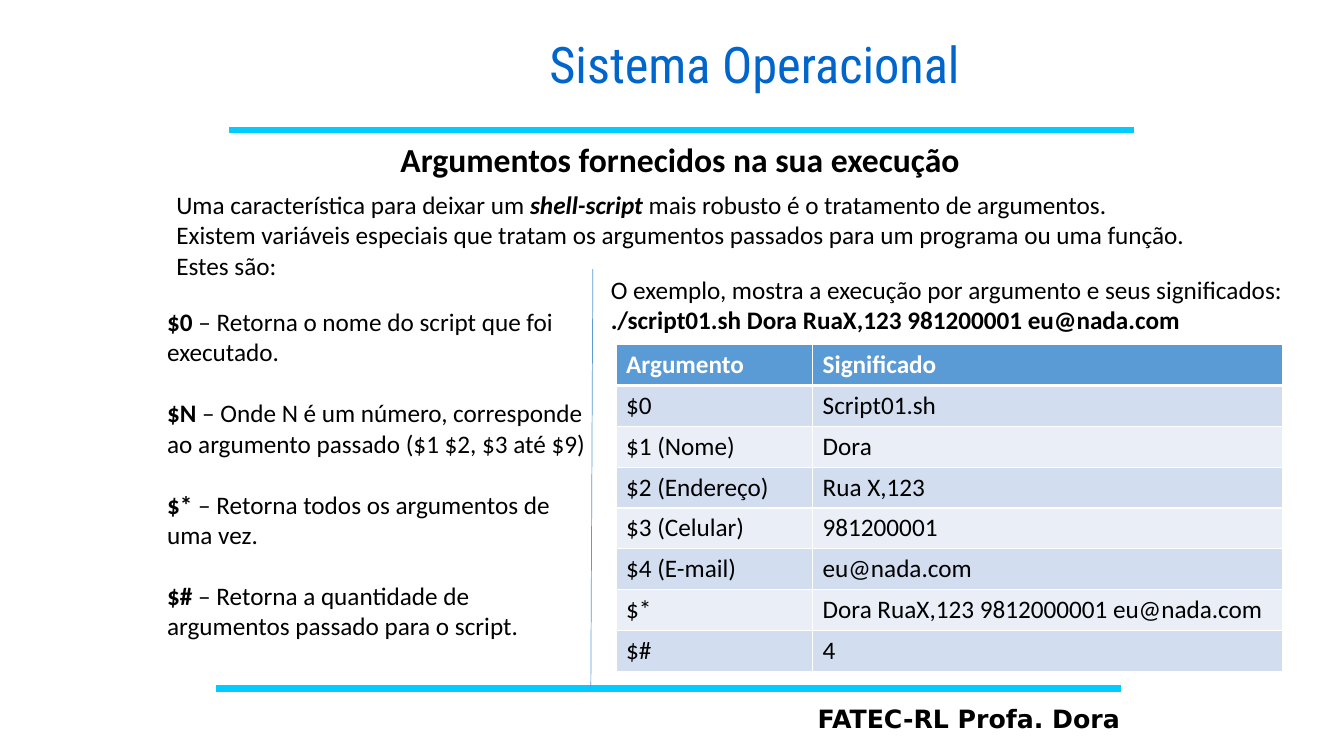
"""Builds the slide on shell-script arguments."""
from lxml.etree import SubElement
from pptx import Presentation
from pptx.dml.color import RGBColor
from pptx.enum.shapes import MSO_CONNECTOR
from pptx.enum.text import PP_ALIGN
from pptx.oxml.ns import qn
from pptx.util import Inches, Pt

BLACK = RGBColor(0x00, 0x00, 0x00)
WHITE = RGBColor(0xFF, 0xFF, 0xFF)
TITLE_BLUE = RGBColor(0x00, 0x66, 0xCC)
CYAN = RGBColor(0x00, 0xCC, 0xFF)
HEADER_BLUE = RGBColor(0x5B, 0x9B, 0xD5)
BAND_DARK = RGBColor(0xD2, 0xDE, 0xEF)
BAND_LIGHT = RGBColor(0xEA, 0xEF, 0xF7)

presentation = Presentation()
presentation.slide_width = Inches(13.33)
presentation.slide_height = Inches(7.5)
slide = presentation.slides.add_slide(presentation.slide_layouts[6])


def write_text(frame, paragraphs, size=18, font="Calibri", color=BLACK,
               align=PP_ALIGN.LEFT, gap=0, wrap=True):
    """Write paragraphs of (text, style) runs; style holds b and i flags."""
    frame.word_wrap = wrap
    for index, runs in enumerate(paragraphs):
        paragraph = frame.paragraphs[0] if index == 0 else frame.add_paragraph()
        paragraph.alignment = align
        paragraph.space_before = Pt(gap if index else 0)
        for text, style in runs:
            run = paragraph.add_run()
            run.text = text
            run.font.size = Pt(size)
            run.font.name = font
            run.font.color.rgb = color
            run.font.bold = "b" in style
            run.font.italic = "i" in style


rules = [
    (2.27, 1.29, 11.25, 1.29, CYAN, 4.5),
    (2.14, 6.83, 11.12, 6.83, CYAN, 4.5),
    (5.88, 2.67, 5.86, 6.83, HEADER_BLUE, 0.5),
]
for x1, y1, x2, y2, color, width in rules:
    rule = slide.shapes.add_connector(
        MSO_CONNECTOR.STRAIGHT, Inches(x1), Inches(y1), Inches(x2), Inches(y2))
    rule.line.color.rgb = color
    rule.line.width = Pt(width)
    SubElement(rule._element.spPr, qn("a:effectLst"))

title = [[("Sistema Operacional", "")]]
footer = [[("FATEC-RL Profa. Dora", "b")]]
heading = [[("Argumentos fornecidos na sua execução", "b")]]
introduction = [
    [("Uma característica para deixar um ", ""), ("shell-script", "bi"),
     (" mais robusto é o tratamento de argumentos.", "")],
    [("Existem variáveis especiais que tratam os argumentos passados "
      "para um programa ou uma função.", "")],
    [("Estes são:", "")],
]
variables = [
    [(name, "b"), (" – " + meaning, "")]
    for name, meaning in [
        ("$0", "Retorna o nome do script que foi executado."),
        ("$N", "Onde N é um número, corresponde ao argumento passado ($1 $2, $3 até $9)"),
        ("$*", "Retorna todos os argumentos de uma vez."),
        ("$#", "Retorna a quantidade de argumentos passado para o script."),
    ]
]
example = [
    [("O exemplo, mostra a execução por argumento e seus significados:", "")],
    [("./script01.sh Dora RuaX,123 981200001 eu@nada.com", "b")],
]

centered = {"align": PP_ALIGN.CENTER}
text_blocks = [
    (3.9, 0.28, 7.17, 0.79, title,
     {"size": 36, "font": "Roboto Condensed", "color": TITLE_BLUE, **centered}),
    (7.76, 6.93, 3.7, 0.4, footer, {"font": "DejaVu Sans", **centered}),
    (2.27, 1.33, 8.95, 0.51, heading, {"size": 24, **centered}),
    (1.65, 1.83, 10.39, 1.01, introduction, {}),
    (1.56, 2.99, 4.4, 3.43, variables, {"gap": 22}),
    (5.96, 2.67, 7.26, 0.71, example, {}),
]
for left, top, width, height, paragraphs, style in text_blocks:
    block = slide.shapes.add_textbox(
        Inches(left), Inches(top), Inches(width), Inches(height))
    write_text(block.text_frame, paragraphs, **style)

arguments = [
    ("Argumento", "Significado"),
    ("$0", "Script01.sh"),
    ("$1 (Nome)", "Dora"),
    ("$2 (Endereço)", "Rua X,123"),
    ("$3 (Celular)", "981200001"),
    ("$4 (E-mail)", "eu@nada.com"),
    ("$*", "Dora RuaX,123 9812000001 eu@nada.com"),
    ("$#", "4"),
]
argument_table = slide.shapes.add_table(
    len(arguments), 2, Inches(6.11), Inches(3.42), Inches(6.61), Inches(3.24)).table
argument_table.columns[0].width = Inches(1.95)
argument_table.columns[1].width = Inches(4.66)

for row, values in enumerate(arguments):
    is_header = row == 0
    fill = HEADER_BLUE if is_header else (BAND_LIGHT, BAND_DARK)[row % 2]
    for column, value in enumerate(values):
        cell = argument_table.cell(row, column)
        write_text(cell.text_frame, [[(value, "b" if is_header else "")]],
                   color=WHITE if is_header else BLACK)
        properties = cell._tc.get_or_add_tcPr()
        for side in ("lnL", "lnR", "lnT", "lnB"):
            thick = (row, side) in ((0, "lnB"), (1, "lnT"))
            border = SubElement(properties, qn("a:" + side), w=str(Pt(3 if thick else 1)))
            SubElement(SubElement(border, qn("a:solidFill")), qn("a:srgbClr"), val=str(WHITE))
        cell.fill.solid()
        cell.fill.fore_color.rgb = fill

presentation.save("out.pptx")
